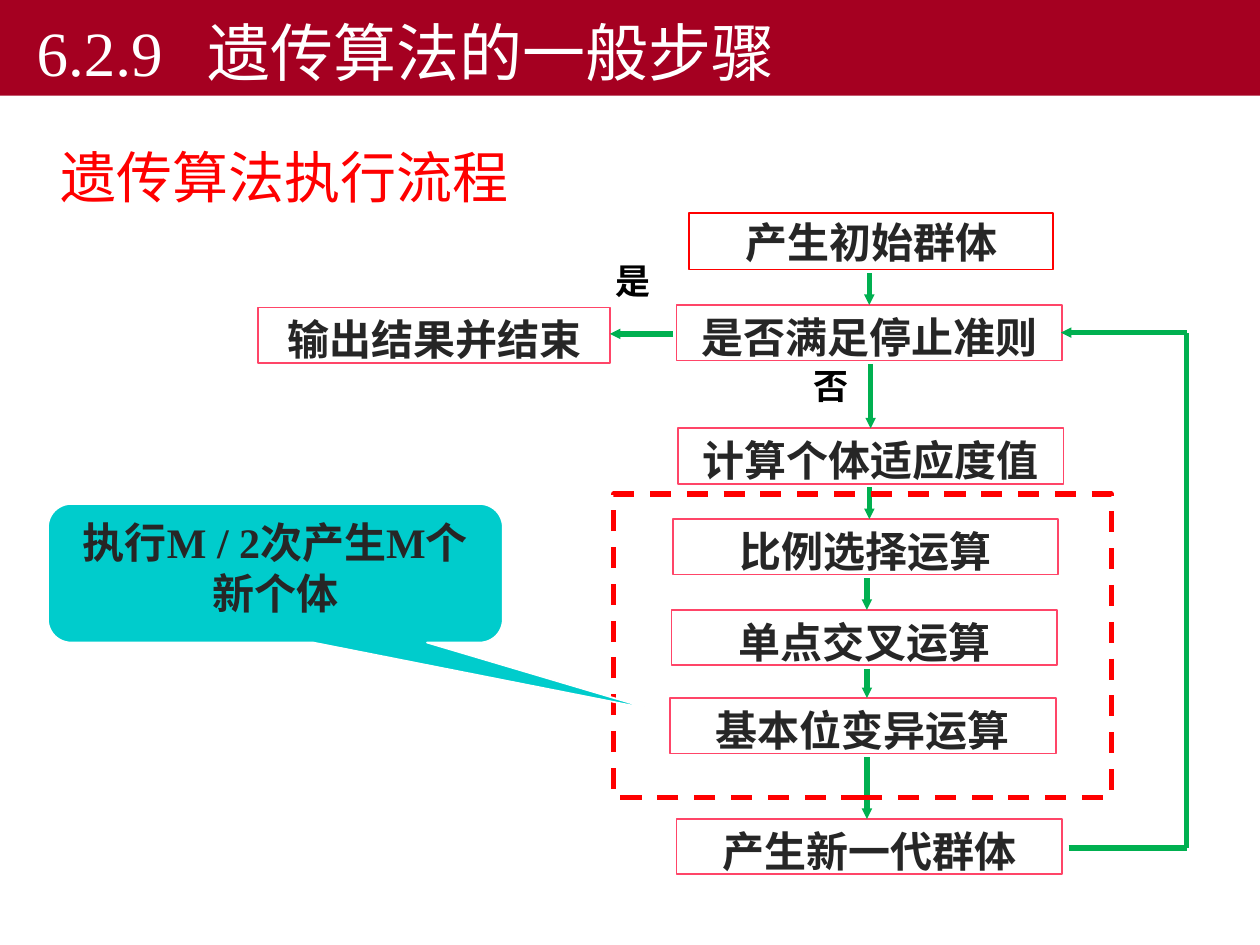
from lxml.etree import SubElement
from pptx import Presentation
from pptx.dml.color import RGBColor
from pptx.enum.dml import MSO_LINE
from pptx.enum.shapes import MSO_CONNECTOR, MSO_SHAPE
from pptx.enum.text import MSO_ANCHOR, PP_ALIGN
from pptx.oxml.ns import qn
from pptx.util import Pt

WHITE = RGBColor(0xFF, 0xFF, 0xFF)
BLACK = RGBColor(0, 0, 0)
INK = RGBColor(0x26, 0x26, 0x26)
RED = RGBColor(0xFF, 0, 0)
PINK = RGBColor(0xFF, 0x45, 0x68)
GREEN = RGBColor(0, 0xB0, 0x50)
CRIMSON = RGBColor(0xA5, 0, 0x21)
TEAL = RGBColor(0, 0xCC, 0xCC)
SERIF = "Times New Roman"
SANS = "Noto Sans CJK SC"


def style(font, size, color, name=SERIF, bold=True):
    """Set the size, colour, face and weight of a font."""
    font.size, font.color.rgb, font.name, font.bold = Pt(size), color, name, bold


def add_panel(slide, kind, box, fill=None, line=None, weight=1):
    """Add a shadowless shape with the given fill and outline."""
    panel = slide.shapes.add_shape(kind, *map(Pt, box))
    panel.shadow.inherit = False
    if fill is None:
        panel.fill.background()
    else:
        panel.fill.solid()
        panel.fill.fore_color.rgb = fill
    if line is None:
        panel.line.fill.background()
    else:
        panel.line.color.rgb = line
        panel.line.width = Pt(weight)
    panel.text_frame.word_wrap = True
    panel.text_frame.vertical_anchor = MSO_ANCHOR.TOP
    return panel


def add_step(slide, box, wording, line=PINK, weight=1):
    """Add one outlined step with centred bold text."""
    step = add_panel(slide, MSO_SHAPE.RECTANGLE, box, line=line, weight=weight)
    paragraph = step.text_frame.paragraphs[0]
    paragraph.text = wording
    paragraph.alignment = PP_ALIGN.CENTER
    style(paragraph.font, 24, INK)
    return step


def add_label(slide, box, wording, size, color, name=SERIF, bold=True):
    """Add a free-standing line of text."""
    label = slide.shapes.add_textbox(*map(Pt, box)).text_frame
    label.word_wrap = True
    paragraph = label.paragraphs[0]
    paragraph.text = wording
    style(paragraph.font, size, color, name, bold)


def add_flow(slide, start, end, arrow=True):
    """Draw a green line, with an arrowhead at its end if wanted."""
    flow = slide.shapes.add_connector(MSO_CONNECTOR.STRAIGHT, *map(Pt, start + end))
    flow.line.color.rgb = GREEN
    flow.line.width = Pt(3)
    if arrow:
        SubElement(flow.line._get_or_add_ln(), qn("a:tailEnd"), type="triangle", w="sm", len="sm")
    SubElement(flow._element.spPr, qn("a:effectLst"))


def add_title_bar(slide, left, top, width, height):
    """Place the banner with the section number and title."""
    bar = add_panel(slide, MSO_SHAPE.RECTANGLE, (left, top, width, height), fill=CRIMSON)
    bar.text_frame.vertical_anchor = MSO_ANCHOR.BOTTOM
    bar.text_frame.margin_left = Pt(20.9)
    paragraph = bar.text_frame.paragraphs[0]
    paragraph.text = "6.2.9\t遗传算法的一般步骤"
    paragraph.alignment = PP_ALIGN.LEFT
    tabs = SubElement(paragraph._p.get_or_add_pPr(), qn("a:tabLst"))
    SubElement(tabs, qn("a:tab"), pos=str(Pt(98)), algn="l")
    style(paragraph.font, 36, WHITE, bold=False)


def add_flowchart(slide, left, top):
    """Place the steps of the algorithm, their arrows and the feedback loop."""
    step_width, step_height = 220.3, 31.7

    def at(x, y):
        return left + x, top + y

    first_height = 32.4
    first = add_step(slide, at(246.2, 0) + (208, first_height), "产生初始群体", RED, 0.75)
    first.text_frame.vertical_anchor = MSO_ANCHOR.MIDDLE
    first.text_frame.margin_left = first.text_frame.margin_right = 0

    bottom = first_height
    for x, y, arrow_x, wording in (
        (239, 52.6, 349.2, "是否满足停止准则"),
        (239.8, 123.1, 349.9, "计算个体适应度值"),
        (236.9, 175, 349.2, "比例选择运算"),
        (236.2, 226.8, 347.8, "单点交叉运算"),
        (235.4, 277.2, 347.8, "基本位变异运算"),
        (239, 346.3, 347.8, "产生新一代群体"),
    ):
        add_step(slide, at(x, y) + (step_width, step_height), wording)
        add_flow(slide, at(arrow_x, bottom + 2), at(arrow_x, y))
        bottom = y + step_height

    output_width = 200.9
    add_step(slide, at(0, 54) + (output_width, step_height), "输出结果并结束")
    add_flow(slide, at(237, 69.1), at(output_width, 69.1))
    add_label(slide, at(197.3, 23) + (35.3, 33.1), "是", 20, BLACK)
    add_label(slide, at(310.3, 82.8) + (35.3, 33.1), "否", 20, BLACK)

    genetic_operators = add_panel(
        slide, MSO_SHAPE.RECTANGLE, at(203, 160.6) + (284.4, 173.5), line=RED, weight=3)
    genetic_operators.line.dash_style = MSO_LINE.DASH

    loop_x, loop_top, loop_bottom = 530.6, 68.4, 362.9
    add_flow(slide, at(463, loop_bottom), at(loop_x, loop_bottom), arrow=False)
    add_flow(slide, at(loop_x, loop_bottom), at(loop_x, loop_top), arrow=False)
    add_flow(slide, at(loop_x, loop_top), at(458.6, loop_top))


def add_callout(slide, left, top, width, height):
    """Place the remark on how often the genetic operators run."""
    callout = add_panel(slide, MSO_SHAPE.ROUNDED_RECTANGULAR_CALLOUT,
                        (left, top, width, height), TEAL, WHITE)
    for index, value in enumerate((0.832, 0.986, 0.167)):
        callout.adjustments[index] = value
    paragraph = callout.text_frame.paragraphs[0]
    paragraph.alignment = PP_ALIGN.CENTER
    for wording, name in (("执行", "Arial"), ("M / 2", SERIF), ("次产生", "Arial"),
                          ("M", SERIF), ("个新个体", "Arial")):
        run = paragraph.add_run()
        run.text = wording
        style(run.font, 24, INK, name)


def main():
    """Build the slide and save it."""
    deck = Presentation()
    deck.slide_width, deck.slide_height = Pt(720), Pt(540)
    slide = deck.slides.add_slide(deck.slide_layouts[6])
    add_label(slide, (27.4, 77.8, 299.5, 46.1), "遗传算法执行流程", 32, RED, SANS, False)
    add_flowchart(slide, 147.6, 121.7)
    add_callout(slide, 27.4, 288, 259.9, 79.2)
    add_title_bar(slide, 0, 0, 720, 54.7)
    deck.save("out.pptx")


if __name__ == "__main__":
    main()
